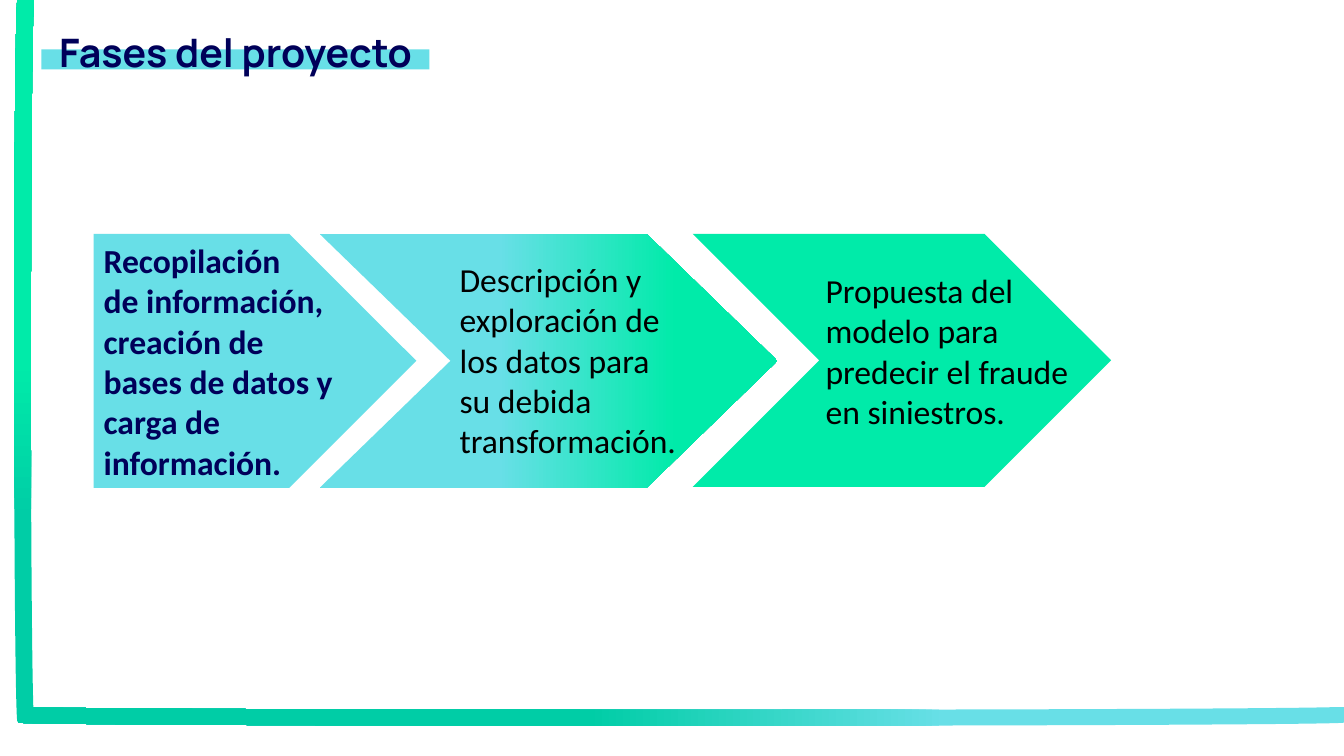
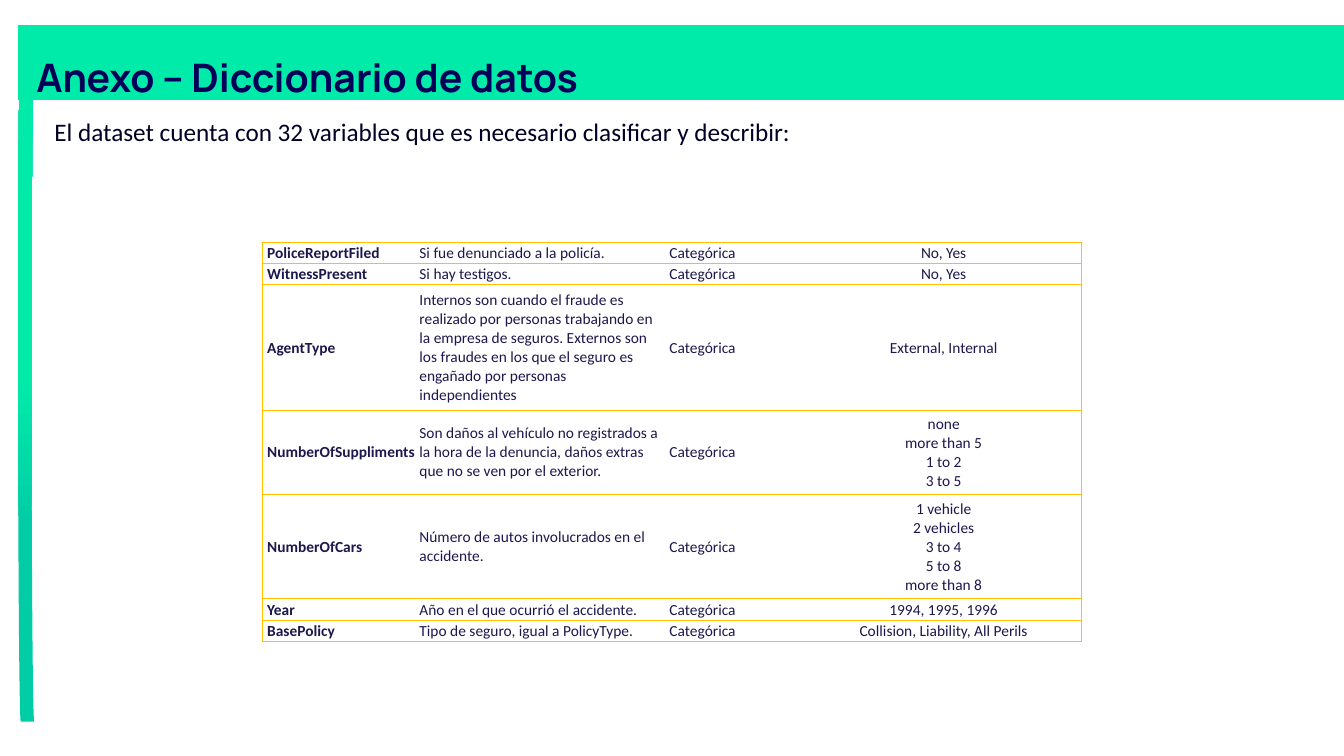
from dataclasses import dataclass

from lxml import etree
from pptx import Presentation
from pptx import util as u
from pptx.dml.color import RGBColor
from pptx.enum import shapes, text
from pptx.oxml.ns import qn

PX = 9144
PRESET = shapes.MSO_SHAPE


@dataclass(frozen=True)
class Theme:
    navy: str = "000059"
    ink: str = "000026"
    table_ink: str = "1D174D"
    black: str = "000000"
    cyan: str = "68DFE7"
    green: str = "00EBA9"
    teal: str = "00CDA6"
    gold: str = "FFC000"
    title_font: str = "Manrope"
    body_font: str = "Calibri"
    title_size: int = 28
    phase_size: int = 24
    intro_size: int = 18
    table_size: int = 11
    border_width: float = 0.5


THEME = Theme()
SLIDE_SIZE = (1333, 750)
SIDE_GRADIENT = ((28, THEME.teal), (50, THEME.green))
BASE_GRADIENT = ((30, THEME.cyan), (57, THEME.teal))
MIDDLE_GRADIENT = ((39, THEME.cyan), (78, THEME.green))

PHASES = [
    dict(preset=PRESET.PENTAGON, box=(93, 232, 320, 252), fill=THEME.cyan, adjust=0.5,
         words="Recopilación\nde información, creación de bases de datos y carga de información.",
         color=THEME.navy, bold=True),
    dict(preset=PRESET.CHEVRON, box=(317, 232, 454, 252), fill=MIDDLE_GRADIENT, adjust=0.515,
         words="Descripción y exploración de los datos para su debida transformación.",
         text_box=(446, 252, 244, 212), color=THEME.black, bold=False),
    dict(preset=PRESET.CHEVRON, box=(687, 232, 415, 251), fill=THEME.green, adjust=0.5,
         words="Propuesta del modelo para predecir el fraude en siniestros.",
         text_box=(809, 263, 283, 172), color=THEME.black, bold=False),
]

INTRO = "El dataset cuenta con 32 variables que es necesario clasificar y describir:"
TABLE_ORIGIN = (260, 240)
COLUMN_WIDTHS = (155, 248, 136, 274)
VARIABLES = [
    (21, "PoliceReportFiled", "Si fue denunciado a la policía.", "Categórica", "No, Yes"),
    (21, "WitnessPresent", "Si hay testigos.", "Categórica", "No, Yes"),
    (125, "AgentType",
     "Internos son cuando el fraude es realizado por personas trabajando en la empresa de "
     "seguros. Externos son los fraudes en los que el seguro es engañado por personas "
     "independientes", "Categórica", "External, Internal"),
    (83, "NumberOfSuppliments",
     "Son daños al vehículo no registrados a la hora de la denuncia, daños extras que no se "
     "ven por el exterior.", "Categórica", "none\vmore than 5\v1 to 2\v3 to 5"),
    (104, "NumberOfCars", "Número de autos involucrados en el accidente.", "Categórica",
     "1 vehicle\v2 vehicles\v3 to 4\v5 to 8\vmore than 8"),
    (21, "Year", "Año en el que ocurrió el accidente.", "Categórica", "1994, 1995, 1996"),
    (21, "BasePolicy", "Tipo de seguro, igual a PolicyType.", "Categórica",
     "Collision, Liability, All Perils"),
]


def emu(*lengths):
    return [u.Emu(length * PX) for length in lengths]


def paint(fill, paint_with, angle=0):
    if isinstance(paint_with, str):
        fill.solid()
        fill.fore_color.rgb = RGBColor.from_string(paint_with)
        return
    fill.gradient()
    fill.gradient_angle = angle
    for stop, (percent, color) in zip(fill.gradient_stops, paint_with):
        stop.position = percent / 100
        stop.color.rgb = RGBColor.from_string(color)


def add_shape(parent, preset, box, fill, angle=0, rotation=0):
    shape = parent.add_shape(preset, *emu(*box))
    shape.shadow.inherit = False
    shape.line.fill.background()
    shape.rotation = rotation
    paint(shape.fill, fill, angle)
    return shape


def write(frame, words, size, color, font=THEME.body_font, bold=False,
          align=text.PP_ALIGN.LEFT, spacing=None):
    frame.text = words
    frame.word_wrap = True
    for paragraph in frame.paragraphs:
        paragraph.alignment = align
        paragraph.line_spacing = spacing
        paragraph.font.name = font
        paragraph.font.size = u.Pt(size)
        paragraph.font.bold = bold
        paragraph.font.color.rgb = RGBColor.from_string(color)


def add_text(parent, box, *args, **options):
    write(parent.add_textbox(*emu(*box)).text_frame, *args, **options)


def place_title(slide, words, box, align, left_inset=10):
    title = slide.shapes.title
    slide.shapes._spTree.append(title._element)
    title.left, title.top, title.width, title.height = emu(*box)
    frame = title.text_frame
    frame.auto_size = text.MSO_AUTO_SIZE.NONE
    frame.vertical_anchor = text.MSO_ANCHOR.TOP
    frame.margin_left, frame.margin_top, frame.margin_bottom = emu(left_inset, 5, 5)
    write(frame, words, THEME.title_size, THEME.navy, THEME.title_font, True, align, 1.5)
    return title


def new_slide(presentation, side_bar):
    slide = presentation.slides.add_slide(presentation.slide_layouts[5])
    add_shape(slide.shapes, PRESET.FLOWCHART_STORED_DATA, side_bar, SIDE_GRADIENT, 90)
    return slide


def set_borders(cell, colors):
    properties = cell._tc.get_or_add_tcPr()
    for side, color in colors.items():
        line = etree.SubElement(properties, qn(f"a:ln{side}"))
        if color is None:
            etree.SubElement(line, qn("a:noFill"))
            continue
        line.set("w", str(int(u.Pt(THEME.border_width))))
        fill = etree.SubElement(line, qn("a:solidFill"))
        etree.SubElement(fill, qn("a:srgbClr"), val=color)


def add_variable_table(slide):
    heights = [variable[0] for variable in VARIABLES]
    size = (sum(COLUMN_WIDTHS), sum(heights))
    table = slide.shapes.add_table(
        len(VARIABLES), len(COLUMN_WIDTHS), *emu(*TABLE_ORIGIN, *size)).table
    table.first_row = table.horz_banding = False
    for column, width in zip(table.columns, emu(*COLUMN_WIDTHS)):
        column.width = width
    last = len(COLUMN_WIDTHS) - 1
    for row, (height, *values) in zip(table.rows, VARIABLES):
        row.height = emu(height)[0]
        for index, (cell, value) in enumerate(zip(row.cells, values)):
            margins = emu(1 if index else 5, 1, 1, 0)
            cell.margin_left, cell.margin_top, cell.margin_right, cell.margin_bottom = margins
            cell.vertical_anchor = text.MSO_ANCHOR.MIDDLE
            set_borders(cell, {"L": None if index else THEME.gold,
                               "R": THEME.gold if index == last else None,
                               "T": THEME.gold, "B": THEME.gold})
            cell.fill.background()
            align = text.PP_ALIGN.CENTER if index == last else text.PP_ALIGN.LEFT
            write(cell.text_frame, value, THEME.table_size, THEME.table_ink,
                  bold=index == 0, align=align)


def build_phases(presentation):
    slide = new_slide(presentation, (14, 0, 20, 716))
    add_shape(slide.shapes, PRESET.FLOWCHART_STORED_DATA, (666, 53, 19, 1315),
              BASE_GRADIENT, 90, 270)
    add_shape(slide.shapes, PRESET.RECTANGLE, (41, 49, 385, 20), THEME.cyan)
    place_title(slide, "Fases del proyecto", (14, 0, 439, 74), text.PP_ALIGN.CENTER)
    group = slide.shapes.add_group_shape().shapes
    for phase in PHASES:
        arrow = add_shape(group, phase["preset"], phase["box"], phase["fill"])
        arrow.adjustments[0] = phase["adjust"]
        style = (phase["words"], THEME.phase_size, phase["color"])
        if "text_box" in phase:
            add_text(group, phase["text_box"], *style, bold=phase["bold"])
        else:
            write(arrow.text_frame, *style, bold=phase["bold"])


def build_dictionary(presentation):
    slide = new_slide(presentation, (18, 25, 16, 691))
    title = place_title(slide, "Anexo – Diccionario de datos", (18, 25, 1315, 74),
                        text.PP_ALIGN.LEFT, 18)
    paint(title.fill, THEME.green)
    add_text(slide.shapes, (44, 110, 1271, 40), INTRO, THEME.intro_size, THEME.ink)
    add_variable_table(slide)


def main():
    presentation = Presentation()
    presentation.slide_width, presentation.slide_height = emu(*SLIDE_SIZE)
    build_phases(presentation)
    build_dictionary(presentation)
    presentation.save("out.pptx")


if __name__ == "__main__":
    main()
